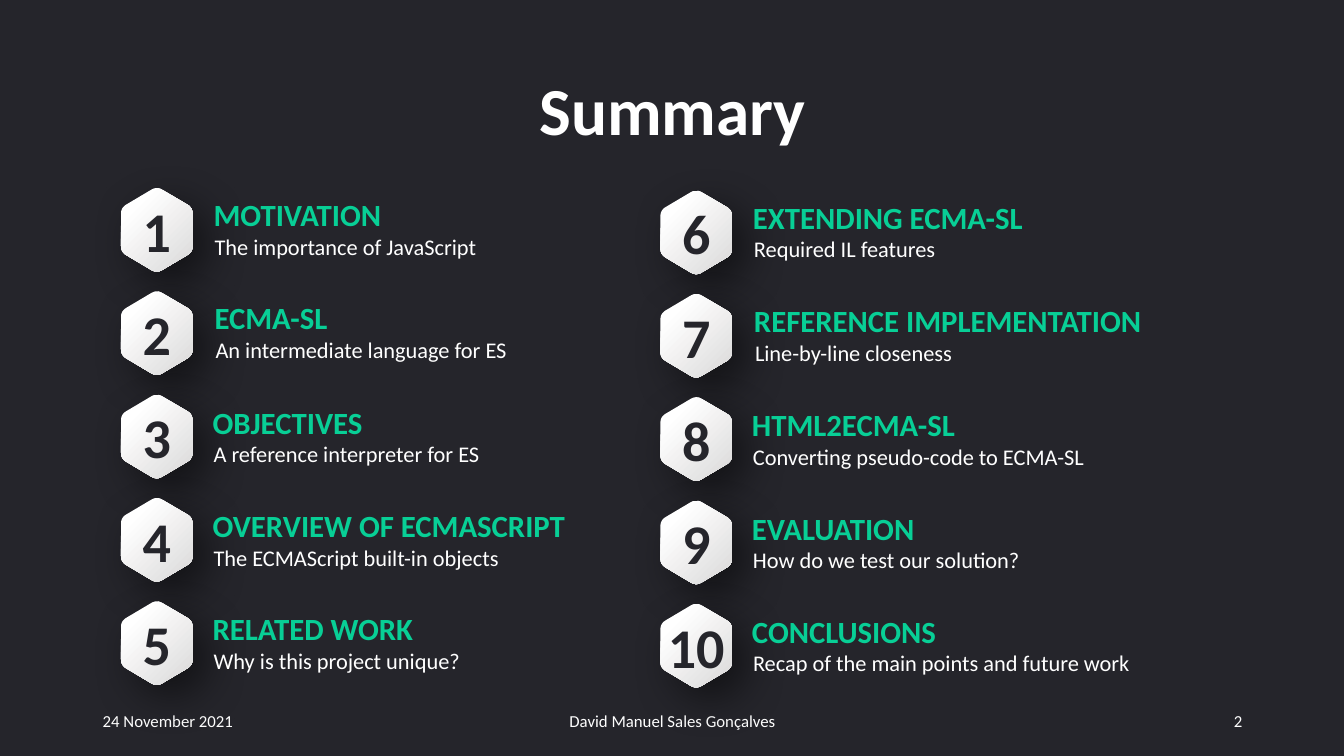
from dataclasses import dataclass, field
from typing import Any

import lxml.etree
import pptx
import pptx.dml.color
import pptx.enum.text
import pptx.oxml
import pptx.oxml.ns
import pptx.util

Inches = pptx.util.Inches
Align = pptx.enum.text.PP_ALIGN
Anchor = pptx.enum.text.MSO_ANCHOR


@dataclass(frozen=True)
class Theme:
    font: str = "Calibri"
    dark: str = "25252B"
    white: str = "FFFFFF"
    green: str = "08CF96"
    silver: str = "DAD9D9"
    shadow: str = "000000"
    title_size: int = 48
    number_size: int = 40
    heading_size: int = 22
    detail_size: int = 16
    footer_size: int = 12


@dataclass(frozen=True)
class Style:
    size: int
    color: str
    bold: bool = False
    align: Any = Align.LEFT
    line_spacing: float | None = None
    frame: dict[str, Any] = field(default_factory=dict)


@dataclass(frozen=True)
class Box:
    left: float
    top: float
    width: float
    height: float


@dataclass(frozen=True)
class Topic:
    heading: str
    detail: str
    heading_width: float = 3.63
    detail_width: float = 3.63


@dataclass(frozen=True)
class Column:
    left: float
    top: float
    topics: tuple[Topic, ...]


THEME = Theme()
MIDDLE = {"vertical_anchor": Anchor.MIDDLE, "word_wrap": True}
GROWING = {
    "word_wrap": True,
    "auto_size": pptx.enum.text.MSO_AUTO_SIZE.SHAPE_TO_FIT_TEXT,
    "margin_bottom": 0,
}
BADGE_FRAME = MIDDLE | {
    "margin_left": Inches(0.06), "margin_right": Inches(0.06),
    "margin_top": Inches(0.03), "margin_bottom": Inches(0.03),
}
TITLE = Style(THEME.title_size, THEME.white, True, Align.CENTER, 0.9, MIDDLE)
NUMBER = Style(THEME.number_size, THEME.dark, True, Align.CENTER, frame=BADGE_FRAME)
HEADING = Style(THEME.heading_size, THEME.green, True, frame=GROWING | {
    "vertical_anchor": Anchor.BOTTOM, "margin_top": Inches(0.2)})
DETAIL = Style(THEME.detail_size, THEME.white, frame=GROWING | {
    "vertical_anchor": Anchor.TOP, "margin_top": 0})

COLUMNS = (
    Column(1.2, 1.86, (
        Topic("MOTIVATION", "The importance of JavaScript"),
        Topic("ECMA-SL", "An intermediate language for ES"),
        Topic("OBJECTIVES", "A reference interpreter for ES"),
        Topic("OVERVIEW OF ECMASCRIPT", "The ECMAScript built-in objects", 4.27),
        Topic("RELATED WORK", "Why is this project unique?"),
    )),
    Column(6.55, 1.885, (
        Topic("EXTENDING ECMA-SL", "Required IL features", 4.17, 4.17),
        Topic("REFERENCE IMPLEMENTATION", "Line-by-line closeness", 4.1, 4.1),
        Topic("HTML2ECMA-SL", "Converting pseudo-code to ECMA-SL"),
        Topic("EVALUATION", "How do we test our solution?"),
        Topic("CONCLUSIONS", "Recap of the main points and future work", 3.99, 3.99),
    )),
)
ROW_PITCH = 1.025
# Heading offset from the badge's top left corner, row by row
HEADING_OFFSETS = ((0.82, -0.12), (0.83, -0.12), (0.81, -0.11), (0.81, -0.11), (0.81, -0.11))
HEADING_HEIGHT, DETAIL_HEIGHT, DETAIL_INDENT = 0.57, 0.27, 0.01
FOOTERS = (
    ("24 November 2021", Box(0.92, 6.95, 3, 0.4), Align.LEFT),
    ("David Manuel Sales Gonçalves", Box(4.42, 6.95, 4.5, 0.4), Align.CENTER),
    ("2", Box(9.42, 6.95, 3, 0.4), Align.RIGHT),
)
BADGE_CORNERS = ((0.355, -0.01), (0.71, 0.2), (0.71, 0.64),
                 (0.355, 0.85), (0, 0.64), (0, 0.2))
CORNER_CUT = 0.06
CURVE_STEPS = 6


def rgb(color: str) -> pptx.dml.color.RGBColor:
    return pptx.dml.color.RGBColor.from_string(color)


def set_all(target: Any, values: dict[str, Any]) -> None:
    for name, value in values.items():
        setattr(target, name, value)


def write(shape: Any, text: str, style: Style) -> None:
    set_all(shape.text_frame, style.frame)
    para = shape.text_frame.paragraphs[0]
    set_all(para, {"alignment": style.align, "line_spacing": style.line_spacing})
    span = para.add_run()
    span.text = text
    set_all(span.font, {"name": THEME.font, "bold": style.bold,
                        "size": pptx.util.Pt(style.size)})
    span.font.color.rgb = rgb(style.color)


def add_text(shapes: Any, box: Box, text: str, style: Style) -> None:
    lengths = (Inches(n) for n in (box.left, box.top, box.width, box.height))
    write(shapes.add_textbox(*lengths), text, style)


def toward(start: tuple[float, float], end: tuple[float, float]) -> tuple[float, float]:
    """Return the point one corner cut away from start, on the way to end."""
    dx, dy = end[0] - start[0], end[1] - start[1]
    share = CORNER_CUT / (dx * dx + dy * dy) ** 0.5
    return start[0] + dx * share, start[1] + dy * share


def badge_outline() -> list[tuple[int, int]]:
    """Round each hexagon corner with a quadratic curve."""
    points = []
    for index, corner in enumerate(BADGE_CORNERS):
        enter = toward(corner, BADGE_CORNERS[index - 1])
        leave = toward(corner, BADGE_CORNERS[(index + 1) % len(BADGE_CORNERS)])
        for step in range(CURVE_STEPS + 1):
            t = step / CURVE_STEPS
            x, y = ((1 - t) ** 2 * a + 2 * t * (1 - t) * b + t ** 2 * c
                    for a, b, c in zip(enter, corner, leave))
            points.append((Inches(x), Inches(y)))
    return points


def add_shadow(shape: Any) -> None:
    shape.shadow.inherit = False
    effects = shape._element.spPr.find(pptx.oxml.ns.qn("a:effectLst"))
    effects.append(pptx.oxml.parse_xml(
        f'<a:outerShdw {pptx.oxml.ns.nsdecls("a")} blurRad="{pptx.util.Pt(30)}" '
        f'dist="{pptx.util.Pt(14)}" dir="2700000" algn="tl" rotWithShape="0">'
        f'<a:srgbClr val="{THEME.shadow}"><a:alpha val="50000"/></a:srgbClr></a:outerShdw>'))


def add_badge(shapes: Any, left: float, top: float, number: int) -> None:
    first, *others = badge_outline()
    builder = shapes.build_freeform(*first)
    builder.add_line_segments(others, close=True)
    badge = builder.convert_to_shape(Inches(left), Inches(top))
    badge.line.fill.background()
    badge.fill.gradient()
    badge.fill.gradient_angle = 315
    stops = ((0.2, THEME.white), (1, THEME.silver))
    for stop, (position, color) in zip(badge.fill.gradient_stops, stops):
        stop.position = position
        stop.color.rgb = rgb(color)
    add_shadow(badge)
    write(badge, str(number), NUMBER)


def add_topic(shapes: Any, left: float, top: float, topic: Topic) -> None:
    group = shapes.add_group_shape().shapes
    add_text(group, Box(left, top, topic.heading_width, HEADING_HEIGHT),
             topic.heading, HEADING)
    add_text(group, Box(left + DETAIL_INDENT, top + HEADING_HEIGHT,
                        topic.detail_width, DETAIL_HEIGHT), topic.detail, DETAIL)


def main() -> None:
    deck = pptx.Presentation()
    set_all(deck, {"slide_width": Inches(13.33), "slide_height": Inches(7.5)})
    page = deck.slides.add_slide(deck.slide_layouts[6])
    page.background.fill.solid()
    page.background.fill.fore_color.rgb = rgb(THEME.dark)
    add_text(page.shapes, Box(0.92, 0.4, 11.5, 1.45), "Summary", TITLE)
    for text, box, align in FOOTERS:
        add_text(page.shapes, box, text,
                 Style(THEME.footer_size, THEME.white, align=align, frame=MIDDLE))
    number = 0
    for column in COLUMNS:
        for row, (topic, (dx, dy)) in enumerate(zip(column.topics, HEADING_OFFSETS)):
            number += 1
            top = column.top + row * ROW_PITCH
            add_badge(page.shapes, column.left, top, number)
            add_topic(page.shapes, column.left + dx, top + dy, topic)
    deck.save("out.pptx")


if __name__ == "__main__":
    main()
